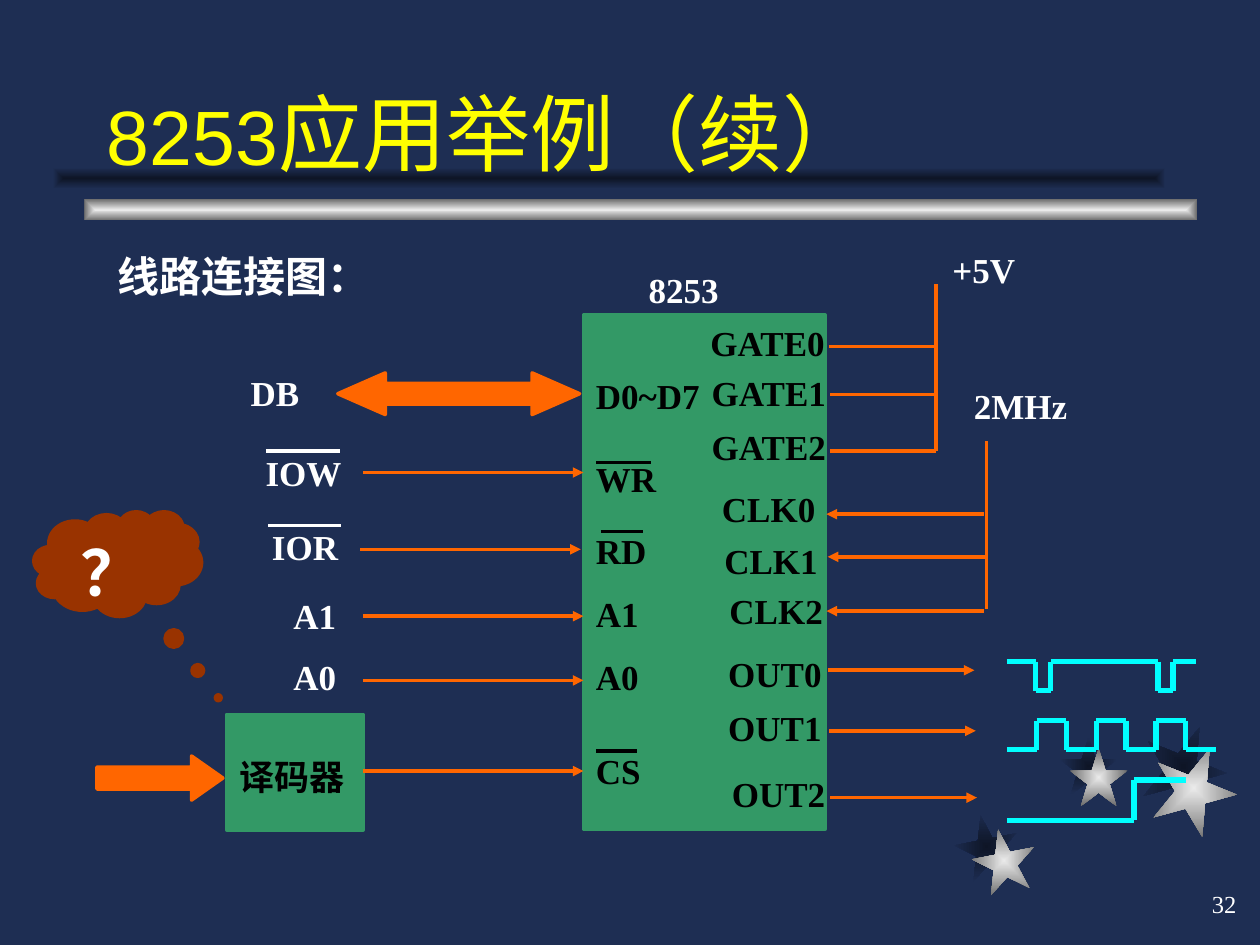
from dataclasses import dataclass
from itertools import cycle, pairwise

from lxml.etree import SubElement
from pptx import Presentation
from pptx.dml.color import RGBColor
from pptx.enum.shapes import MSO_CONNECTOR as Link, MSO_SHAPE as Preset
from pptx.enum.text import MSO_ANCHOR as Anchor, PP_ALIGN as Align
from pptx.oxml.ns import qn
from pptx.util import Pt


@dataclass(frozen=True)
class Theme:
    background: str = "1E2E53"
    shade: str = "0E1526"
    silver: str = "EAEAEA"
    steel: str = "6C6C6C"
    chip: str = "339966"
    signal: str = "FF6600"
    wave: str = "00FFFF"
    cloud: str = "993300"
    title: str = "FFFF00"
    light: str = "FFFFFF"
    dark: str = "000000"
    sans: str = "Arial"
    serif: str = "Times New Roman"
    title_latin: float = 44
    title_cjk: float = 48
    question: float = 36
    heading: float = 24
    label: float = 20
    number: float = 14
    wire: float = 2
    trace: float = 3


@dataclass(frozen=True)
class Box:
    x: float
    y: float
    w: float
    h: float = 31.7


@dataclass(frozen=True)
class Label:
    text: str
    x: float
    y: float
    w: float
    color: str


@dataclass(frozen=True)
class Wire:
    x1: float
    y1: float
    x2: float
    y2: float
    arrow: bool = False
    color: str = "FF6600"
    width: float = 2


@dataclass(frozen=True)
class Star:
    box: Box
    shadow: Box
    angle: float


@dataclass(frozen=True)
class Waveform:
    edges: tuple[float, ...]
    levels: tuple[float, float]


T = Theme()
rgb = RGBColor.from_string


def add_run(paragraph, text: str, size: float, color: str, font: str = T.serif, bold: bool = False):
    run = paragraph.add_run()
    run.text = text
    run.font.size, run.font.name, run.font.bold = Pt(size), font, bold
    run.font.color.rgb = rgb(color)


def add_text(slide, box: Box, anchor=Anchor.TOP, align=Align.LEFT):
    frame = slide.shapes.add_textbox(Pt(box.x), Pt(box.y), Pt(box.w), Pt(box.h)).text_frame
    frame.word_wrap = True
    frame.vertical_anchor = anchor
    frame.paragraphs[0].alignment = align
    return frame.paragraphs[0]


def add_label(slide, label: Label):
    add_run(add_text(slide, Box(label.x, label.y, label.w)), label.text, T.label, label.color, bold=True)


def add_preset(slide, preset, box: Box):
    shape = slide.shapes.add_shape(preset, Pt(box.x), Pt(box.y), Pt(box.w), Pt(box.h))
    shape.shadow.inherit = False
    return shape


def add_solid(slide, preset, box: Box, color: str, adjustments: tuple[float, ...] = ()):
    shape = add_preset(slide, preset, box)
    shape.fill.solid()
    shape.fill.fore_color.rgb = shape.line.color.rgb = rgb(color)
    shape.line.width = Pt(T.wire)
    for index, value in enumerate(adjustments):
        shape.adjustments[index] = value
    return shape


def add_glow(slide, preset, box: Box, centre: str, edge: str, angle: float = 0):
    shape = add_preset(slide, preset, box)
    shape.rotation = angle
    shape.line.fill.background()
    shape.fill.gradient()
    for stop, color, position in zip(shape.fill.gradient_stops, (centre, edge), (0, 1)):
        stop.color.rgb = rgb(color)
        stop.position = position
    gradient = shape._element.spPr.find(qn("a:gradFill"))
    linear = gradient.find(qn("a:lin"))
    if linear is not None:
        gradient.remove(linear)
    focus = SubElement(gradient, qn("a:path"), {"path": "rect"})
    SubElement(focus, qn("a:fillToRect"), dict.fromkeys("ltrb", "50000"))


def add_wire(slide, wire: Wire):
    link = slide.shapes.add_connector(Link.STRAIGHT, Pt(wire.x1), Pt(wire.y1), Pt(wire.x2), Pt(wire.y2))
    link.line.color.rgb = rgb(wire.color)
    link.line.width = Pt(wire.width)
    if wire.arrow:
        SubElement(link.line._get_or_add_ln(), qn("a:tailEnd"), {"type": "triangle"})
    SubElement(link._element.spPr, qn("a:effectLst"))


def add_waveform(slide, waveform: Waveform):
    corners = [(x, level) for span, level in zip(pairwise(waveform.edges), cycle(waveform.levels)) for x in span]
    for start, end in pairwise(corners):
        add_wire(slide, Wire(*start, *end, color=T.wave, width=T.trace))


STARS = [
    Star(Box(555.8, 473.8, 36, 36), Box(545.8, 465.8, 36, 36), 349),
    Star(Box(611.3, 427.7, 33.1, 33.1), Box(605.5, 421.2, 33.1, 33.1), 0),
    Star(Box(658.1, 426.2, 48.2, 48.2), Box(652.3, 414, 48.2, 48.2), 22),
]
CHIP_X = 333.4
LEFT_PINS = [("D0~D7", 210.2), ("WR", 257.8), ("RD", 298.8), ("A1", 334.8), ("A0", 370.8), ("CS", 424.8)]
RIGHT_PINS = [
    ("GATE0", 398.9, 180), ("GATE1", 399.6, 208.8), ("GATE2", 399.6, 239.8),
    ("CLK0", 405.4, 275), ("CLK1", 406.8, 304.6), ("CLK2", 409.7, 333.4),
    ("OUT0", 409, 369.4), ("OUT1", 409, 400.3), ("OUT2", 411.1, 437.8),
]
SIGNALS = [
    ("DB", 136.1, 208.8, 59.8), ("IOW", 144.7, 254.2, 59.8), ("IOR", 148.3, 296.6, 59.8),
    ("A1", 160.6, 336.2, 47.5), ("A0", 160.6, 370.8, 47.5), ("8253", 363.6, 149.8, 59.8),
    ("+5V", 537.1, 138.2, 66.2), ("2MHz", 549.4, 216, 77.8),
]
LABELS = (
    [Label(text, CHIP_X, y, 84.2, T.dark) for text, y in LEFT_PINS]
    + [Label(text, x, y, 90, T.dark) for text, x, y in RIGHT_PINS]
    + [Label(*signal, T.light) for signal in SIGNALS]
)
BUS_ENDS = [(207.4, 270), (205.9, 313.9), (207.4, 352.1), (207.4, 388.8), (207.4, 440.6)]
GATES = [(473.8, 198, 533.5), (474.5, 225.4, 535), (474.5, 257.8, 535)]
CLOCKS = [(562.3, 293.8), (563, 318.2), (562.3, 349.2)]
OUTPUTS = [(473, 383), (473.8, 417.6), (474.5, 455.8)]
PIN_BARS = [(340.6, 372.2, 264.2), (343.4, 367.2, 303.8), (340.6, 364.3, 429.1)]
SIGNAL_BARS = [(151.9, 194.4, 257.8), (153.4, 195.1, 300.2)]
WIRES = (
    [Wire(x, y, x + 126, y, arrow=True) for x, y in BUS_ENDS]
    + [Wire(x1, y, x2, y) for x1, y, x2 in GATES]
    + [Wire(535, 257.8, 535, 162), Wire(563.8, 347.8, 563.8, 252)]
    + [Wire(x, y, x - 90, y, arrow=True) for x, y in CLOCKS]
    + [Wire(x, y, x + 83.8, y, arrow=True) for x, y in OUTPUTS]
    + [Wire(x1, y, x2, y, color=T.dark) for x1, x2, y in PIN_BARS]
    + [Wire(x1, y, x2, y, color=T.light) for x1, x2, y in SIGNAL_BARS]
)
WAVEFORMS = [
    Waveform((575.3, 591.8, 600.5, 661.7, 670.3, 683.3), (378, 394.6)),
    Waveform(tuple(575.3 + 17.05 * step for step in range(8)), (428.4, 411.8)),
    Waveform((575.3, 648, 677.5), (468.7, 445.7)),
]


def main():
    deck = Presentation()
    deck.slide_width, deck.slide_height = Pt(720), Pt(540)
    slide = deck.slides.add_slide(deck.slide_layouts[6])
    slide.background.fill.solid()
    slide.background.fill.fore_color.rgb = rgb(T.background)

    for star in STARS:
        add_glow(slide, Preset.STAR_5_POINT, star.shadow, T.shade, T.background, star.angle)
    for star in STARS:
        add_glow(slide, Preset.STAR_5_POINT, star.box, T.silver, T.steel, star.angle)
    add_glow(slide, Preset.RECTANGLE, Box(48.2, 113.8, 635.8, 12.2), T.silver, T.steel)
    add_glow(slide, Preset.RECTANGLE, Box(30.2, 95.8, 635.8, 12.2), T.shade, T.background)

    number = add_text(slide, Box(563.8, 498.2, 149.8, 36), Anchor.MIDDLE, Align.RIGHT)
    add_run(number, "32", T.number, T.light)
    title = add_text(slide, Box(54, 18, 612, 90), Anchor.BOTTOM)
    add_run(title, "8253", T.title_latin, T.title, T.sans)
    add_run(title, "应用举例（续）", T.title_cjk, T.title, T.sans)
    heading = add_text(slide, Box(59.8, 139.7, 164.2, 36))
    add_run(heading, "线路连接图：", T.heading, T.light, bold=True)

    add_solid(slide, Preset.RECTANGLE, Box(CHIP_X, 180, 138.2, 293.8), T.chip)
    add_solid(slide, Preset.RECTANGLE, Box(129.6, 408.2, 77.8, 66.2), T.chip)
    add_solid(slide, Preset.LEFT_RIGHT_ARROW, Box(193, 213.1, 138.2, 23.8), T.signal, (0.5, 1.14))
    add_solid(slide, Preset.RIGHT_ARROW, Box(55.4, 432, 72, 25.2), T.signal, (0.5, 0.71))
    decoder = add_text(slide, Box(129.6, 419.8, 84.2, 39.6))
    decoder.line_spacing = 1.35
    add_run(decoder, "译码器", T.label, T.dark, bold=True)

    for label in LABELS:
        add_label(slide, label)
    for wire in WIRES:
        add_wire(slide, wire)
    cloud = add_solid(slide, Preset.CLOUD_CALLOUT, Box(19.4, 292.3, 95.8, 59.8), T.cloud, (0.6, 1.28))
    cloud.text_frame.vertical_anchor = Anchor.TOP
    question = cloud.text_frame.paragraphs[0]
    question.alignment = Align.CENTER
    add_run(question, "？", T.question, T.light, bold=True)
    for waveform in WAVEFORMS:
        add_waveform(slide, waveform)
    deck.save("out.pptx")


if __name__ == "__main__":
    main()
